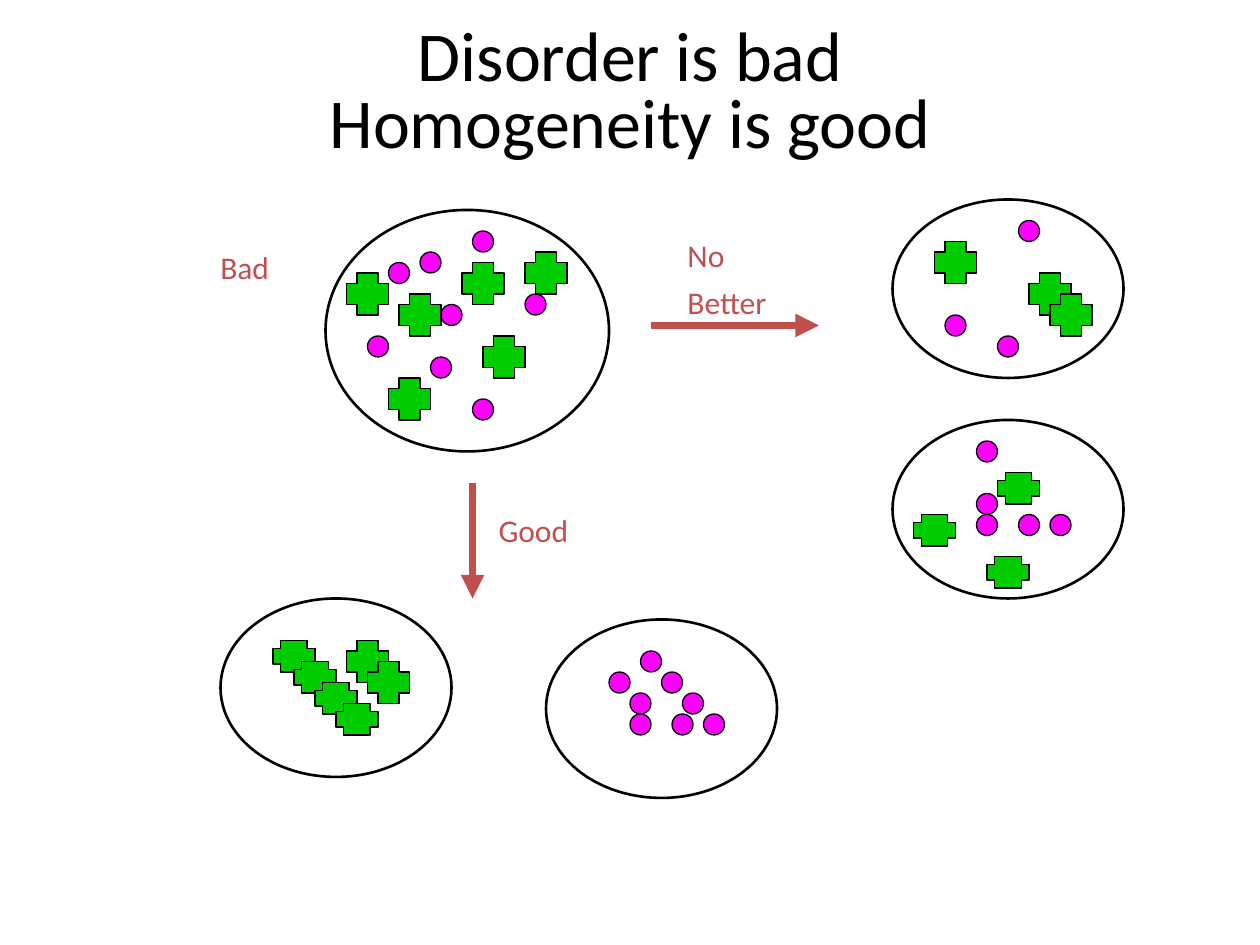
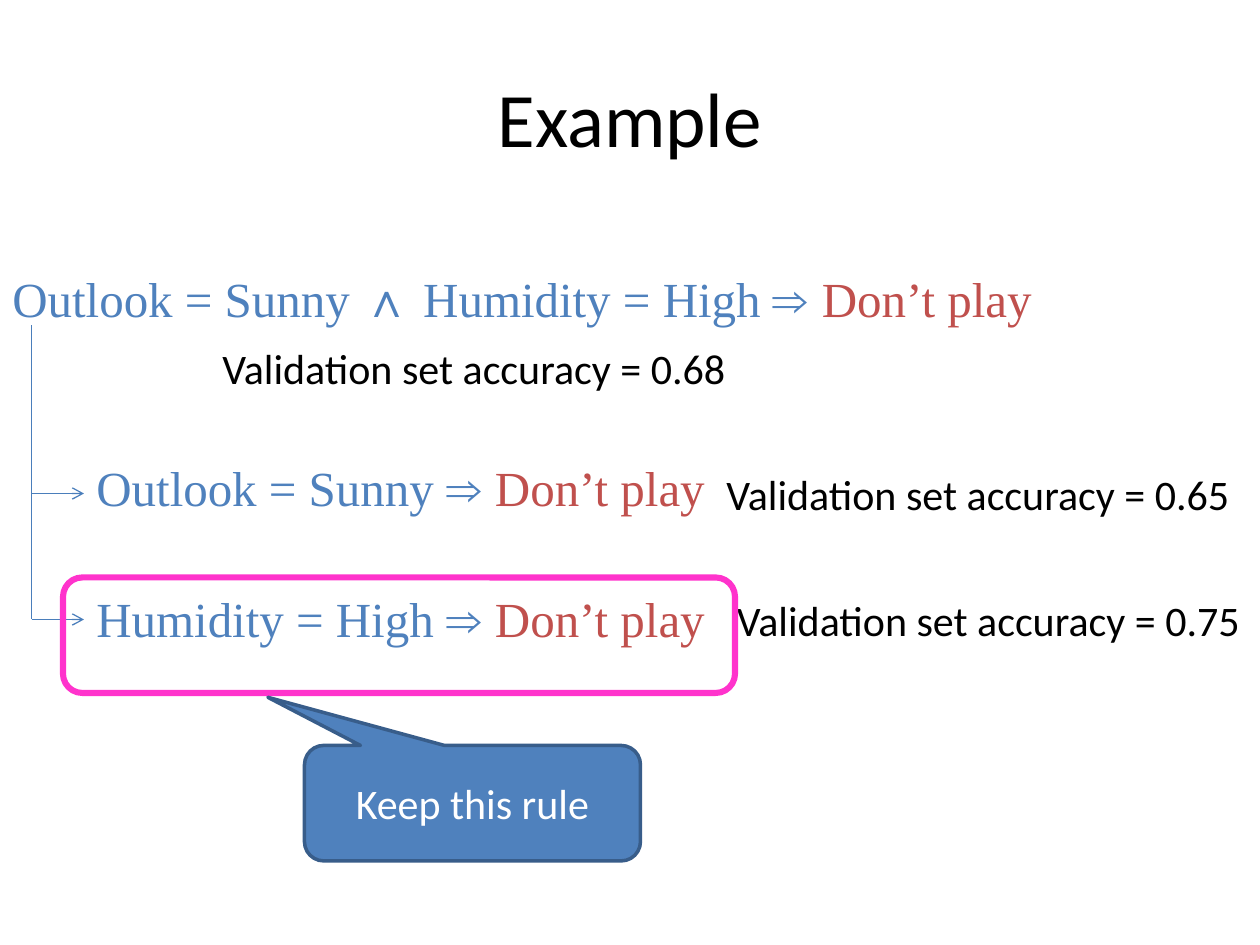
from dataclasses import dataclass

from lxml import etree
from pptx import Presentation
from pptx.dml.color import RGBColor
from pptx.enum.shapes import MSO_CONNECTOR, MSO_SHAPE
from pptx.enum.text import MSO_ANCHOR, MSO_AUTO_SIZE, PP_ALIGN
from pptx.oxml.ns import qn
from pptx.util import Inches, Pt

OVAL = MSO_SHAPE.OVAL
CROSS = MSO_SHAPE.CROSS
ROUNDED = MSO_SHAPE.ROUNDED_RECTANGLE
CALLOUT = MSO_SHAPE.ROUNDED_RECTANGULAR_CALLOUT
STRAIGHT = MSO_CONNECTOR.STRAIGHT
TOP, MIDDLE = MSO_ANCHOR.TOP, MSO_ANCHOR.MIDDLE
LEFT, CENTER = PP_ALIGN.LEFT, PP_ALIGN.CENTER
NO_AUTOSIZE = MSO_AUTO_SIZE.NONE

WIDTH, HEIGHT = Inches(10), Inches(7.5)
COLUMNS = 120
CELL = WIDTH / COLUMNS


@dataclass(frozen=True)
class Theme:
    black: str = "000000"
    white: str = "FFFFFF"
    red: str = "C0504D"
    blue: str = "4F81BD"
    branch: str = "4A7EBB"
    callout_line: str = "385D8A"
    dot: str = "FF00FF"
    cross: str = "00CC00"
    highlight: str = "FF33CC"
    body_font: str = "Calibri"
    rule_font: str = "Times New Roman"
    symbol_font: str = "Arial"
    title_size: int = 44
    long_title_size: int = 40
    rule_size: int = 28
    body_size: int = 24
    label_size: int = 18


T = Theme()
DONT_PLAY = ("Don’t play", T.rule_font, T.red)
IMPLIES = ("⇒ ", T.symbol_font, T.blue)


def grid(*cells):
    return [round(c * CELL) for c in cells]


def rgb(value):
    return RGBColor.from_string(value)


def write(tf, *paragraphs, size=T.body_size, color=T.black, font=T.body_font,
          align=LEFT, anchor=TOP, spacing=None):
    tf.word_wrap = True
    tf.auto_size = NO_AUTOSIZE
    tf.vertical_anchor = anchor
    for i, runs in enumerate(paragraphs):
        p = tf.add_paragraph() if i else tf.paragraphs[0]
        p.alignment = align
        if spacing:
            p.line_spacing = spacing
        if isinstance(runs, str):
            runs = [(runs, font, color)]
        for text, run_font, run_color in runs:
            for n, part in enumerate(text.split("\n")):
                if n:
                    p.add_line_break()
                r = p.add_run()
                r.text = part
                r.font.name = run_font
                r.font.size = Pt(size)
                r.font.color.rgb = rgb(run_color)


def add_titled_slide(prs, text, box, size, spacing=None):
    s = prs.slides.add_slide(prs.slide_layouts[5])
    title = s.shapes.title
    title.left, title.top, title.width, title.height = grid(*box)
    write(title.text_frame, text, size=size, align=CENTER, anchor=MIDDLE,
          spacing=spacing)
    return s


def add_text(s, box, *paragraphs, **style):
    sp = s.shapes.add_textbox(*grid(*box))
    write(sp.text_frame, *paragraphs, **style)


def add_shape(s, kind, box, line=T.black, weight=0.75, fill=None, adjust=()):
    sp = s.shapes.add_shape(kind, *grid(*box))
    sp.shadow.inherit = False
    if fill:
        sp.fill.solid()
        sp.fill.fore_color.rgb = rgb(fill)
    else:
        sp.fill.background()
    sp.line.color.rgb = rgb(line)
    sp.line.width = Pt(weight)
    for i, value in enumerate(adjust):
        sp.adjustments[i] = value
    return sp


def add_line(shapes, start, end, color, weight, head=None):
    line = shapes.add_connector(STRAIGHT, *grid(*start, *end))
    line.line.color.rgb = rgb(color)
    line.line.width = Pt(weight)
    if head:
        ln = line.line._get_or_add_ln()
        etree.SubElement(ln, qn("a:tailEnd"), type=head)
    etree.SubElement(line._element.spPr, qn("a:effectLst"))


def add_cluster(s, outline, dots=(), flat_crosses=(), crosses=()):
    for x, y in dots:
        add_shape(s, OVAL, (x, y, 2, 2), fill=T.dot)
    for places, height in ((flat_crosses, 3), (crosses, 4)):
        for x, y in places:
            add_shape(s, CROSS, (x, y, 4, height), fill=T.cross, adjust=[0.25])
    add_shape(s, OVAL, outline, weight=1.5)


def add_rule(s, x, y, *conditions):
    runs = []
    for i, condition in enumerate(conditions):
        if i:
            runs.append(("∧", T.symbol_font, T.blue))
        lead = " " if i else ""
        runs.append((f"{lead}{condition} ", T.rule_font, T.blue))
    add_text(s, (x, y, COLUMNS - x, 12.5), runs + [IMPLIES, DONT_PLAY],
             size=T.rule_size)


def build_disorder(prs):
    s = add_titled_slide(prs, "Disorder is bad\nHomogeneity is good",
                         (0, 5, COLUMNS, 8), T.long_title_size, spacing=0.8)
    add_cluster(s, (31, 20, 27, 23),
                dots=[(40, 24), (37, 25), (42, 29), (35, 32),
                      (41, 34), (45, 22), (50, 28), (45, 38)],
                crosses=[(38, 28), (44, 25), (33, 26),
                         (37, 36), (46, 32), (50, 24)])
    add_cluster(s, (21, 57, 22, 17),
                flat_crosses=[(26 + 2 * i, 61 + 2 * i) for i in range(4)],
                crosses=[(33, 61), (35, 63)])
    add_cluster(s, (52, 59, 22, 17),
                dots=[(61 + 2 * i, 62 + 2 * i) for i in range(4)]
                + [(58, 64), (60, 66), (60, 68), (64, 68)])
    add_cluster(s, (85, 19, 22, 17),
                dots=[(97, 21), (95, 32), (90, 30)],
                crosses=[(98, 26), (100, 28), (89, 23)])
    add_cluster(s, (85, 40, 22, 17),
                dots=[(93, 42), (100, 49), (93, 47), (93, 49), (97, 49)],
                flat_crosses=[(94, 53), (95, 45), (87, 49)])

    for start, end in (((45, 46), (45, 57)), ((62, 31), (78, 31))):
        add_line(s.shapes, start, end, T.red, 4.5, head="triangle")
    label = {"size": T.label_size, "color": T.red}
    add_text(s, (64.3, 21, 12, 10.2), "No", "Better", spacing=1.25, **label)
    add_text(s, (46.3, 48.1, 10, 4.8), "Good", **label)
    add_text(s, (19.8, 23, 9, 4.8), "Bad", **label)


def build_example(prs):
    s = add_titled_slide(prs, "Example", (6, 3.6, 108, 15), T.title_size)
    add_rule(s, 0, 25, "Outlook = Sunny", "Humidity = High")
    add_rule(s, 8, 43, "Outlook = Sunny")
    add_rule(s, 8, 55.5, "Humidity = High")

    tree = s.shapes.add_group_shape().shapes
    for y in (59, 47):
        add_line(tree, (3, y), (8, y), T.branch, 0.75, head="arrow")
    add_line(tree, (3, 31), (3, 59), T.branch, 0.75)

    for x, y, accuracy in ((20, 32, "0.68"), (68, 44, "0.65"), (69, 56, "0.75")):
        add_text(s, (x, y, 51, 6), f"Validation set accuracy = {accuracy}")

    add_shape(s, ROUNDED, (6, 55, 64, 11), line=T.highlight, weight=3.5,
              adjust=[0.167])
    sp = add_shape(s, CALLOUT, (29, 71, 32, 11), line=T.callout_line, weight=2,
                   fill=T.blue, adjust=[-0.609, -0.917, 0.167])
    write(sp.text_frame, "Keep this rule", color=T.white, align=CENTER,
          anchor=MIDDLE)


def main():
    prs = Presentation()
    prs.slide_width, prs.slide_height = WIDTH, HEIGHT
    build_disorder(prs)
    build_example(prs)
    prs.save("out.pptx")


if __name__ == "__main__":
    main()
